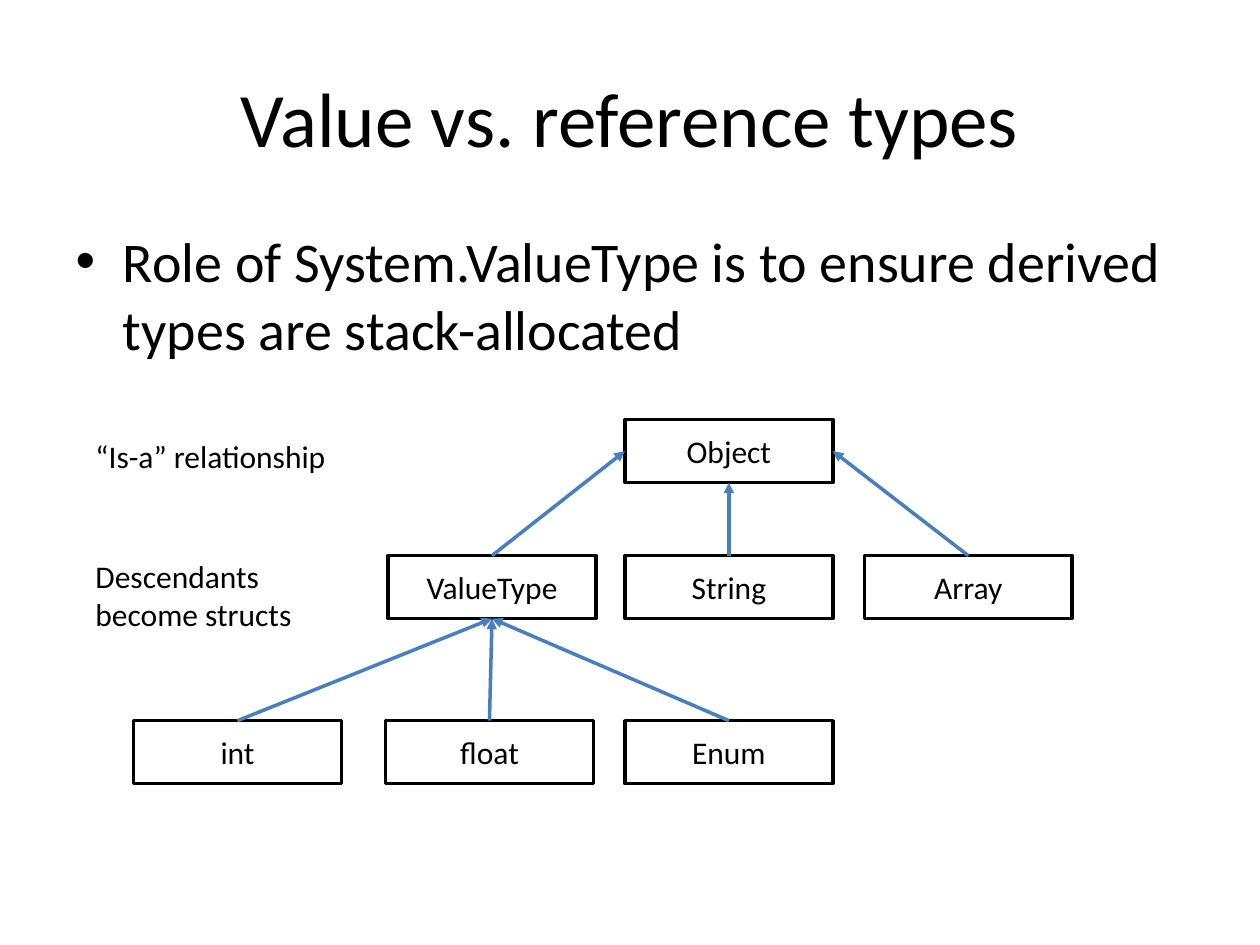
from lxml import etree
from pptx import Presentation
from pptx import util as u
from pptx.enum import shapes, text
from pptx.dml.color import RGBColor
from pptx.oxml.ns import qn

COLORS = {"ink": "000000", "paper": "FFFFFF", "arrow": "4B7EBC"}
FONT = "Calibri"
TOP, LEFT, BOTTOM, RIGHT = range(4)
NODE_SIZE = (1.65, 0.5)
COLUMNS = (0, 2, 3.9, 5.8)
ROWS = (0, 1.08, 2.39)
NODES = {
    "Object": (2, 0),
    "ValueType": (1, 1), "String": (2, 1), "Array": (3, 1),
    "int": (0, 2), "float": (1, 2), "Enum": (2, 2),
}
PARENTS = (
    ("ValueType", "Object", LEFT), ("String", "Object", BOTTOM), ("Array", "Object", RIGHT),
    ("int", "ValueType", BOTTOM), ("float", "ValueType", BOTTOM), ("Enum", "ValueType", BOTTOM),
)


def color(name):
    """Return the named colour."""
    return RGBColor.from_string(COLORS[name])


def write(shape, words, size, align=None):
    """Put formatted text into a shape."""
    shape.text_frame.text = words
    for paragraph in shape.text_frame.paragraphs:
        paragraph.alignment = align
        for run in paragraph.runs:
            run.font.size = u.Pt(size)
            run.font.name = FONT
            run.font.color.rgb = color("ink")


def place(shape, left, top, width, height):
    """Move and size a shape in inches."""
    shape.left, shape.top = u.Inches(left), u.Inches(top)
    shape.width, shape.height = u.Inches(width), u.Inches(height)


def add_heading(slide, left, top, width):
    """Fill the title and the bulleted body."""
    title, body = slide.placeholders
    place(title, left, top, width, 1.25)
    write(title, "Value vs. reference types", 44, text.PP_ALIGN.CENTER)
    place(body, left, top + 1.45, width, 1.37)
    write(body, "Role of System.ValueType is to ensure derived types are stack-allocated", 32)


def add_node(slide, words, left, top):
    """Draw one type of the hierarchy."""
    node = slide.shapes.add_shape(
        shapes.MSO_SHAPE.RECTANGLE, *map(u.Inches, (left, top, *NODE_SIZE)))
    node.shadow.inherit = False
    node.fill.solid()
    node.fill.fore_color.rgb = color("paper")
    node.line.color.rgb = color("ink")
    node.line.width = u.Pt(2)
    node.text_frame.vertical_anchor = text.MSO_ANCHOR.MIDDLE
    write(node, words, 18, text.PP_ALIGN.CENTER)
    return node


def add_arrow(slide, child, parent, site):
    """Connect the top of a child to a side of its parent."""
    arrow = slide.shapes.add_connector(shapes.MSO_CONNECTOR.STRAIGHT, 0, 0, 0, 0)
    arrow.begin_connect(child, TOP)
    arrow.end_connect(parent, site)
    arrow.line.color.rgb = color("arrow")
    arrow.line.width = u.Pt(2)
    etree.SubElement(arrow.line._get_or_add_ln(), qn("a:tailEnd"), type="triangle")
    etree.SubElement(arrow._element.spPr, qn("a:effectLst"))


def add_tree(slide, left, top):
    """Draw the type hierarchy from its top left corner."""
    nodes = {name: add_node(slide, name, left + COLUMNS[column], top + ROWS[row])
             for name, (column, row) in NODES.items()}
    nodes["ValueType"].left += u.Inches(0.02)
    for child, parent, site in PARENTS:
        add_arrow(slide, nodes[child], nodes[parent], site)


def add_label(slide, words, left, top, width, height):
    """Add a note beside the hierarchy."""
    label = slide.shapes.add_textbox(*map(u.Inches, (left, top, width, height)))
    label.text_frame.word_wrap = False
    label.text_frame.auto_size = text.MSO_AUTO_SIZE.SHAPE_TO_FIT_TEXT
    write(label, words, 18)


def main():
    """Build and save the slide."""
    presentation = Presentation()
    presentation.slide_width, presentation.slide_height = u.Inches(10), u.Inches(7.5)
    slide = presentation.slides.add_slide(presentation.slide_layouts[1])
    add_heading(slide, 0.5, 0.3, 9)
    add_tree(slide, 1.06, 3.33)
    add_label(slide, "“Is-a” relationship", 0.66, 3.42, 2.04, 0.4)
    add_label(slide, "Descendants\vbecome structs", 0.66, 4.37, 1.77, 0.71)
    presentation.save("out.pptx")


main()
